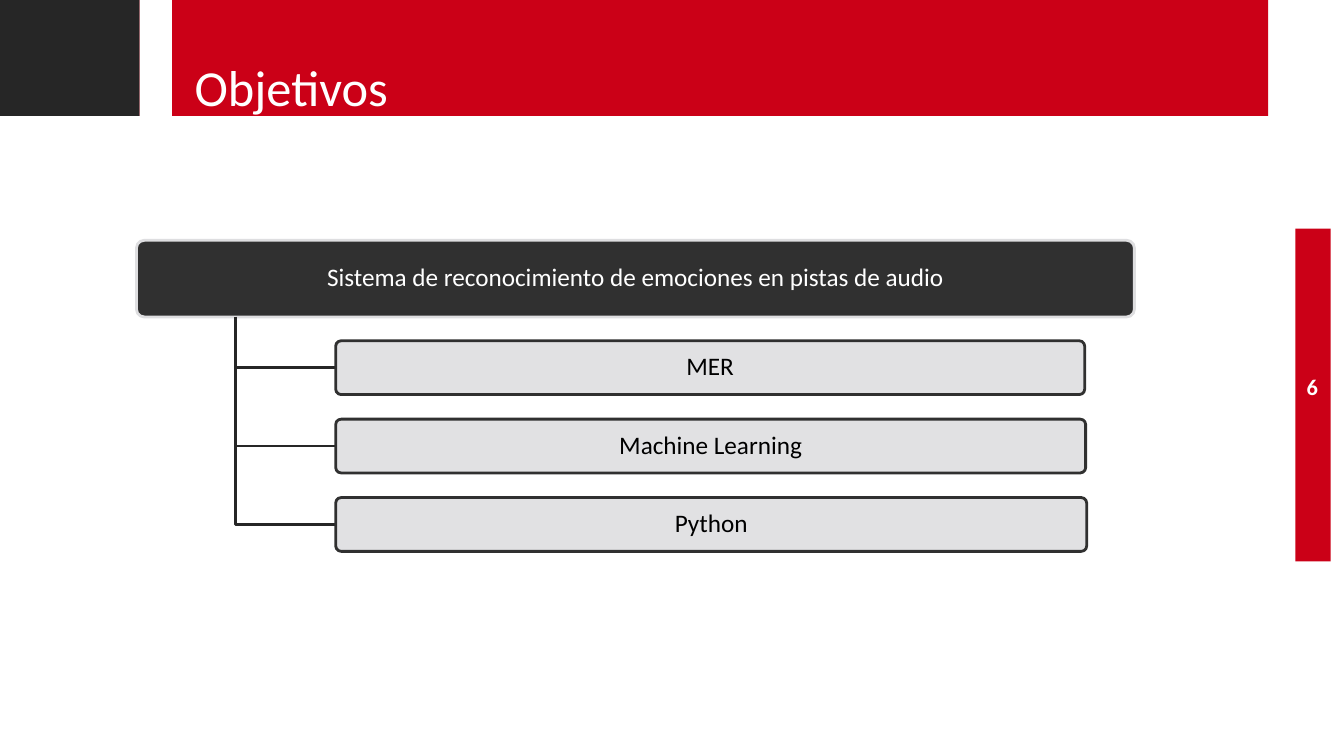
import dataclasses

import lxml.etree
import pptx
import pptx.dml.color
import pptx.enum.shapes
import pptx.enum.text
import pptx.oxml.ns
import pptx.util

Pt = pptx.util.Pt
Preset = pptx.enum.shapes.MSO_SHAPE
Align = pptx.enum.text.PP_ALIGN
Anchor = pptx.enum.text.MSO_ANCHOR


@dataclasses.dataclass(frozen=True)
class Theme:
    """Colours, font and type sizes of the slide."""
    red: str = "CB0017"
    dark: str = "262626"
    charcoal: str = "303030"
    grey: str = "DEDEE0"
    white: str = "FFFFFF"
    black: str = "000000"
    font: str = "Calibri"
    title_size: int = 36
    body_size: int = 18
    number_size: int = 16
    line_width: int = 2


THEME = Theme()


def rgb(value):
    """Turn a hex string into a colour."""
    return pptx.dml.color.RGBColor.from_string(value)


def write_text(shape, text, *, size, color, bold=False, align=Align.CENTER,
               anchor=Anchor.MIDDLE, spacing=None, margins=None):
    """Put one formatted paragraph into a shape."""
    frame = shape.text_frame
    frame.word_wrap = True
    frame.vertical_anchor = anchor
    if margins:
        frame.margin_left = frame.margin_right = Pt(margins[0])
        frame.margin_top = frame.margin_bottom = Pt(margins[1])
    paragraph = frame.paragraphs[0]
    paragraph.alignment = align
    paragraph.line_spacing = spacing
    run = paragraph.add_run()
    run.text = text
    run.font.name = THEME.font
    run.font.size = Pt(size)
    run.font.bold = bold
    run.font.color.rgb = rgb(color)


def set_opacity(shape, percent):
    """Make the solid fill of a shape partly transparent."""
    color = shape.fill._xPr.find(".//" + pptx.oxml.ns.qn("a:srgbClr"))
    alpha = lxml.etree.SubElement(color, pptx.oxml.ns.qn("a:alpha"))
    alpha.set("val", str(percent * 1000))


def set_outline(shape, color):
    """Give a shape the standard line in one colour."""
    shape.line.color.rgb = rgb(color)
    shape.line.width = Pt(THEME.line_width)


def add_block(slide, left, top, width, height, fill):
    """Add a plain rectangle without an outline."""
    block = slide.shapes.add_shape(Preset.RECTANGLE, Pt(left), Pt(top), Pt(width), Pt(height))
    block.shadow.inherit = False
    block.fill.solid()
    block.fill.fore_color.rgb = rgb(fill)
    block.line.fill.background()


def add_node(slide, text, left, top, width, height, *, fill, line, color):
    """Add a rounded box of the hierarchy with its label."""
    node = slide.shapes.add_shape(Preset.ROUNDED_RECTANGLE, Pt(left), Pt(top), Pt(width), Pt(height))
    node.adjustments[0] = 0.1
    node.shadow.inherit = False
    node.fill.solid()
    node.fill.fore_color.rgb = rgb(fill)
    set_outline(node, line)
    write_text(node, text, size=THEME.body_size, color=color, spacing=0.9, margins=(3, 2))
    return node


def add_elbow(slide, left, top, right, bottom):
    """Add a branch that runs down and then to the right."""
    builder = slide.shapes.build_freeform(Pt(left), Pt(top))
    builder.add_line_segments([(Pt(left), Pt(bottom)), (Pt(right), Pt(bottom))], close=False)
    elbow = builder.convert_to_shape()
    elbow.shadow.inherit = False
    elbow.fill.background()
    set_outline(elbow, THEME.dark)


def add_title(slide, text):
    """Place the title in front of the banner."""
    title = slide.shapes.title
    title.left, title.top, title.width, title.height = Pt(131.8), Pt(4.3), Pt(746), Pt(82.8)
    write_text(title, text, size=THEME.title_size, color=THEME.white, align=Align.LEFT,
               anchor=Anchor.BOTTOM, spacing=Pt(36))
    title.element.getparent().append(title.element)


def add_slide_number(slide, text):
    """Place the slide number on the side tab."""
    box = slide.shapes.add_textbox(Pt(910.8), Pt(261.4), Pt(53.3), Pt(28.8))
    write_text(box, text, size=THEME.number_size, color=THEME.white, bold=True)


def add_hierarchy(slide, goal, topics):
    """Draw the main goal with its topics branching below it."""
    trunk, goal_bottom, topic_left, topic_height = 168.5, 226.4, 239.8, 38.4
    add_node(slide, goal, 97.5, 171.7, 712.8, 54.7,
             fill=THEME.charcoal, line=THEME.grey, color=THEME.white)
    for index, topic in enumerate(topics):
        top = 243.4 + 56 * index
        add_elbow(slide, trunk, goal_bottom, topic_left, top + topic_height / 2)
        node = add_node(slide, topic, topic_left, top, 535 + 0.7 * index, topic_height,
                        fill=THEME.grey, line=THEME.charcoal, color=THEME.black)
        set_opacity(node, 90)


def main():
    """Build and save the slide."""
    presentation = pptx.Presentation()
    presentation.slide_width, presentation.slide_height = Pt(960), Pt(540)
    slide = presentation.slides.add_slide(presentation.slide_layouts[5])
    add_block(slide, 925.2, 163.4, 25.2, 237.6, THEME.red)
    add_block(slide, 75.6, 0, 830.2, 82.8, THEME.red)
    add_block(slide, 0, 0, 99.7, 82.8, THEME.dark)
    add_block(slide, 99.7, 0, 23.1, 82.8, THEME.white)
    add_slide_number(slide, "6")
    add_title(slide, "Objetivos")
    add_hierarchy(slide, "Sistema de reconocimiento de emociones en pistas de audio",
                  ["MER", "Machine Learning", "Python"])
    presentation.save("out.pptx")


if __name__ == "__main__":
    main()
